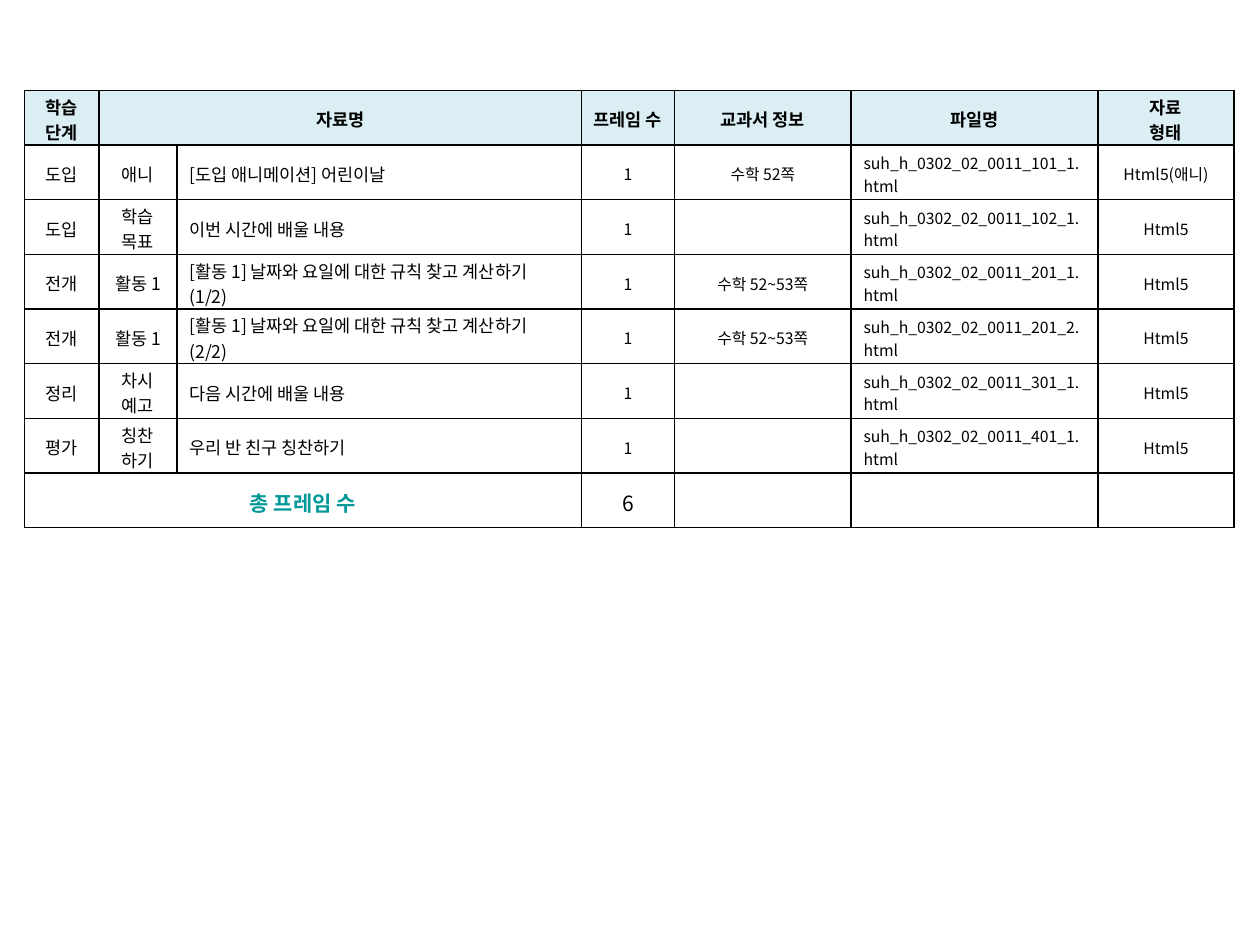
import pptx
import pptx.dml.color
import pptx.enum.text
import pptx.oxml
import pptx.oxml.ns
import pptx.util

Pt = pptx.util.Pt
ALIGN = pptx.enum.text.PP_ALIGN
FONT = "Noto Sans CJK KR"
BLACK = pptx.dml.color.RGBColor(0x00, 0x00, 0x00)
TEAL = pptx.dml.color.RGBColor(0x00, 0x99, 0x99)
PALE_BLUE = pptx.dml.color.RGBColor(0xDB, 0xEE, 0xF4)

COL_WIDTHS = [42.5, 44.6, 231.1, 53.3, 100.8, 141.1, 77.8]
COL_SIZES = [10, 10, 10, 9, 9, 9, 9]
COL_ALIGNS = [ALIGN.CENTER, ALIGN.CENTER, ALIGN.LEFT, ALIGN.CENTER,
              ALIGN.CENTER, ALIGN.JUSTIFY, ALIGN.CENTER]
HEADER = ["학습 단계", "자료명", "", "프레임 수", "교과서 정보", "파일명", "자료\n형태"]
LESSONS = [
    ("도입", "애니", "[도입 애니메이션] 어린이날", "수학 52쪽", "101_1", "Html5(애니)"),
    ("도입", "학습 목표", "이번 시간에 배울 내용", "", "102_1", "Html5"),
    ("전개", "활동 1", "[활동 1] 날짜와 요일에 대한 규칙 찾고 계산하기 (1/2)",
     "수학 52~53쪽", "201_1", "Html5"),
    ("전개", "활동 1", "[활동 1] 날짜와 요일에 대한 규칙 찾고 계산하기 (2/2)",
     "수학 52~53쪽", "201_2", "Html5"),
    ("정리", "차시 예고", "다음 시간에 배울 내용", "", "301_1", "Html5"),
    ("평가", "칭찬\n하기", "우리 반 친구 칭찬하기", "", "401_1", "Html5"),
]


def add_borders(cell):
    tcPr = cell._tc.get_or_add_tcPr()
    for i, side in enumerate(("lnL", "lnR", "lnT", "lnB")):
        ln = pptx.oxml.parse_xml(
            f'<a:{side} {pptx.oxml.ns.nsdecls("a")} w="{Pt(1)}"><a:solidFill>'
            f'<a:srgbClr val="{BLACK}"/></a:solidFill></a:{side}>')
        tcPr.insert(i, ln)


def format_cell(cell, fill=None):
    cell.vertical_anchor = pptx.enum.text.MSO_ANCHOR.MIDDLE
    cell.margin_left = cell.margin_right = Pt(7.2)
    cell.margin_top, cell.margin_bottom = Pt(2), Pt(0)
    if fill is None:
        cell.fill.background()
    else:
        cell.fill.solid()
        cell.fill.fore_color.rgb = fill
    add_borders(cell)


def write_cell(cell, text, size, align=ALIGN.CENTER, bold=False, color=BLACK):
    if not text:
        return
    tf = cell.text_frame
    for i, line in enumerate(text.split("\n")):
        p = tf.add_paragraph() if i else tf.paragraphs[0]
        p.alignment = align
        r = p.add_run()
        r.text = line
        r.font.size = Pt(size)
        r.font.bold = bold
        r.font.color.rgb = color
        r.font.name = FONT
        ea = pptx.oxml.parse_xml(
            f'<a:ea {pptx.oxml.ns.nsdecls("a")} typeface="{FONT}"/>')
        r.font._element.find(pptx.oxml.ns.qn("a:latin")).addnext(ea)


def add_lesson_table(s, left, top, width, height):
    n_rows = len(LESSONS) + 2
    table = s.shapes.add_table(n_rows, len(COL_WIDTHS), Pt(left), Pt(top),
                               Pt(width), Pt(height)).table
    table.first_row = table.horz_banding = False
    for column, share in zip(table.columns, COL_WIDTHS):
        column.width = Pt(width * share / sum(COL_WIDTHS))
    for i, row in enumerate(table.rows):
        row.height = Pt(height / n_rows)
        for cell in row.cells:
            format_cell(cell, PALE_BLUE if i == 0 else None)

    for j, text in enumerate(HEADER):
        write_cell(table.cell(0, j), text, 10, bold=True)
    table.cell(0, 1).merge(table.cell(0, 2))

    for i, (stage, kind, title, pages, number, form) in enumerate(LESSONS, 1):
        file_name = f"suh_h_0302_02_0011_{number}.html"
        texts = [stage, kind, title, "1", pages, file_name, form]
        for j, text in enumerate(texts):
            write_cell(table.cell(i, j), text, COL_SIZES[j], COL_ALIGNS[j])

    last = n_rows - 1
    table.cell(last, 0).merge(table.cell(last, 2))
    write_cell(table.cell(last, 0), "총 프레임 수", 12, bold=True, color=TEAL)
    write_cell(table.cell(last, 3), str(len(LESSONS)), 12)


def main():
    prs = pptx.Presentation()
    prs.slide_width, prs.slide_height = Pt(720), Pt(540)
    s = prs.slides.add_slide(prs.slide_layouts[6])
    add_lesson_table(s, 14, 51.6, 691.2, 250)
    prs.save("out.pptx")


if __name__ == "__main__":
    main()
